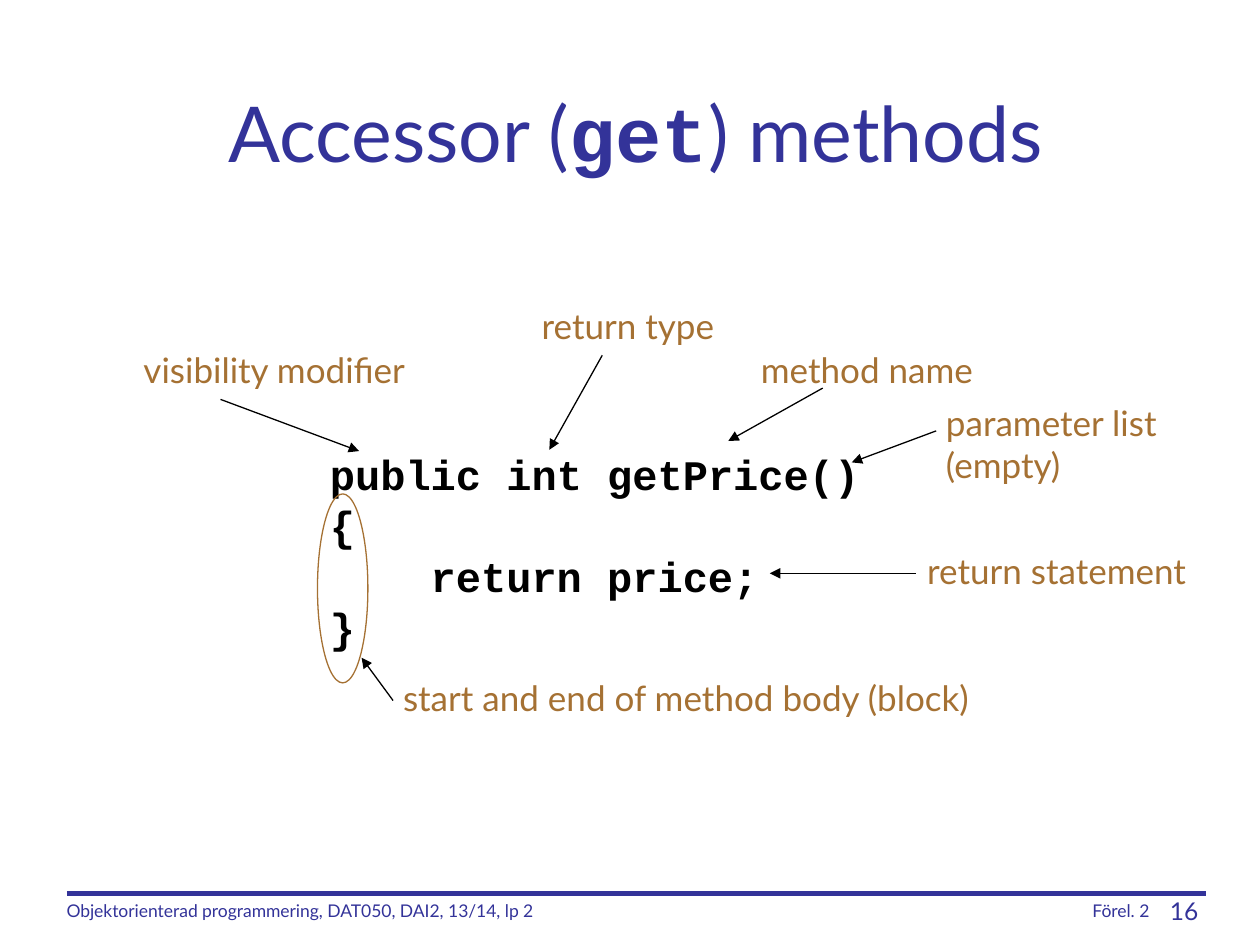
from dataclasses import dataclass

from lxml.etree import SubElement
from pptx import Presentation
from pptx.dml.color import RGBColor
from pptx.enum.shapes import MSO_CONNECTOR as Connector, MSO_SHAPE as Shape
from pptx.enum.text import MSO_ANCHOR as Anchor, PP_ALIGN as Align
from pptx.oxml.ns import qn
from pptx.slide import Slide
from pptx.util import Inches, Pt

NAVY = RGBColor(0x33, 0x33, 0x99)
BROWN = RGBColor(0xA5, 0x71, 0x33)
BLACK = RGBColor(0, 0, 0)


@dataclass
class SlideBuilder:
    """Draw the elements of a method diagram in one consistent style."""

    page: Slide
    body_font: str = "Lato"
    code_font: str = "Courier New"

    def span(self, para, text, color, **formats):
        span = para.add_run()
        span.text = text
        span.font.color.rgb = color
        for name, value in {"name": self.body_font, "bold": False, **formats}.items():
            setattr(span.font, name, value)

    def title(self, frame, spans):
        title = self.page.shapes.title
        for name, value in zip(("left", "top", "width", "height"), frame):
            setattr(title, name, Inches(value))
        title.text_frame.vertical_anchor = Anchor.MIDDLE
        para = title.text_frame.paragraphs[0]
        para.alignment = Align.CENTER
        for text, is_code in spans:
            font = self.code_font if is_code else self.body_font
            self.span(para, text, NAVY, size=Pt(44), name=font, bold=is_code)

    def text_box(self, frame, wrap=True, anchor=Anchor.TOP):
        box = self.page.shapes.add_textbox(*map(Inches, frame))
        for name, value in {"word_wrap": wrap, "vertical_anchor": anchor}.items():
            setattr(box.text_frame, name, value)
        return box.text_frame

    def label(self, text, frame):
        para = self.text_box(frame).paragraphs[0]
        self.span(para, text, BROWN, size=Pt(20))

    def footer(self, text, frame, size=10, align=Align.LEFT, anchor=Anchor.BOTTOM):
        para = self.text_box(frame, anchor=anchor).paragraphs[0]
        para.alignment = align
        self.span(para, text, NAVY, size=Pt(size))

    def code(self, lines, frame):
        body = self.text_box(frame, wrap=False)
        for index, (text, indent) in enumerate(lines):
            para = body.add_paragraph() if index else body.paragraphs[0]
            para.line_spacing = Pt(29.3)
            para._p.get_or_add_pPr().set("marL", str(Inches(indent)))
            self.span(para, text, BLACK, size=Pt(24), name=self.code_font, bold=True)

    def line(self, start, end, color, width):
        line = self.page.shapes.add_connector(
            Connector.STRAIGHT, *map(Inches, (*start, *end)))
        line.line.color.rgb = color
        line.line.width = Pt(width)
        SubElement(line._element.spPr, qn("a:effectLst"))
        return line

    def arrow(self, start, end):
        arrow = self.line(start, end, BLACK, 0.75)
        SubElement(arrow.line._get_or_add_ln(), qn("a:tailEnd"), type="triangle")

    def ellipse(self, frame):
        ellipse = self.page.shapes.add_shape(Shape.OVAL, *map(Inches, frame))
        ellipse.shadow.inherit = False
        ellipse.fill.background()
        ellipse.line.color.rgb = BROWN
        ellipse.line.width = Pt(0.75)


def main():
    deck = Presentation()
    deck.slide_width, deck.slide_height = Inches(10), Inches(7.5)
    builder = SlideBuilder(deck.slides.add_slide(deck.slide_layouts[5]))

    builder.title((0.51, 0.42, 9.07, 1.25),
                  [("Accessor (", False), ("get", True), (") methods", False)])
    builder.code([("public int getPrice()", 0), ("{", 0), ("return price;", 0.8), ("}", 0)],
                 (2.52, 3.5, 4.4, 1.7))
    builder.ellipse((2.52, 3.92, 0.4, 1.5))

    callouts = [
        ("visibility modifier", (1.04, 2.72, 2.39, 0.43), (1.75, 3.17), (2.85, 3.58)),
        ("return type", (4.2, 2.37, 1.72, 0.43), (4.78, 2.82), (4.36, 3.57)),
        ("method name", (5.94, 2.72, 1.95, 0.43), (6.53, 3.08), (5.78, 3.5)),
        ("parameter list (empty)", (7.41, 3.14, 2.26, 0.77), (7.43, 3.42), (6.76, 3.67)),
        ("return statement", (7.26, 4.31, 2.34, 0.43), (7.27, 4.55), (6.11, 4.55)),
        ("start and end of method body (block)", (3.1, 5.32, 4.98, 0.43),
         (3.12, 5.56), (2.87, 5.22)),
    ]
    for text, frame, start, end in callouts:
        builder.label(text, frame)
        builder.arrow(start, end)

    builder.line((0.53, 7.09), (9.57, 7.09), NAVY, 3)
    builder.footer("Objektorienterad programmering, DAT050, DAI2, 13/14, lp 2",
                   (0.43, 7.06, 5.06, 0.3))
    builder.footer("Förel. 2", (7.44, 7.06, 1.78, 0.3), align=Align.RIGHT)
    builder.footer("16", (9.08, 7.06, 0.53, 0.33), 14, Align.RIGHT, Anchor.TOP)

    deck.save("out.pptx")


if __name__ == "__main__":
    main()
